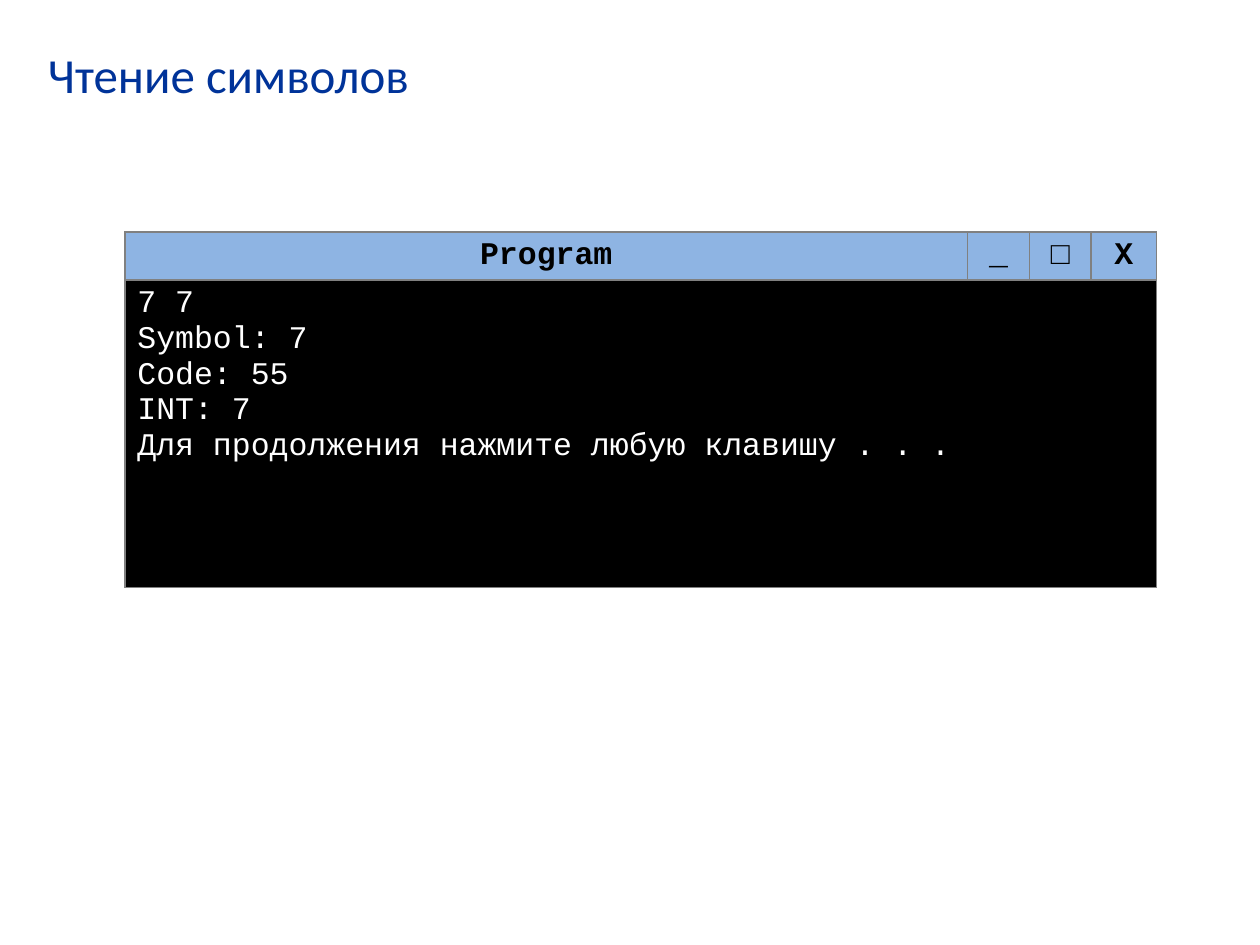
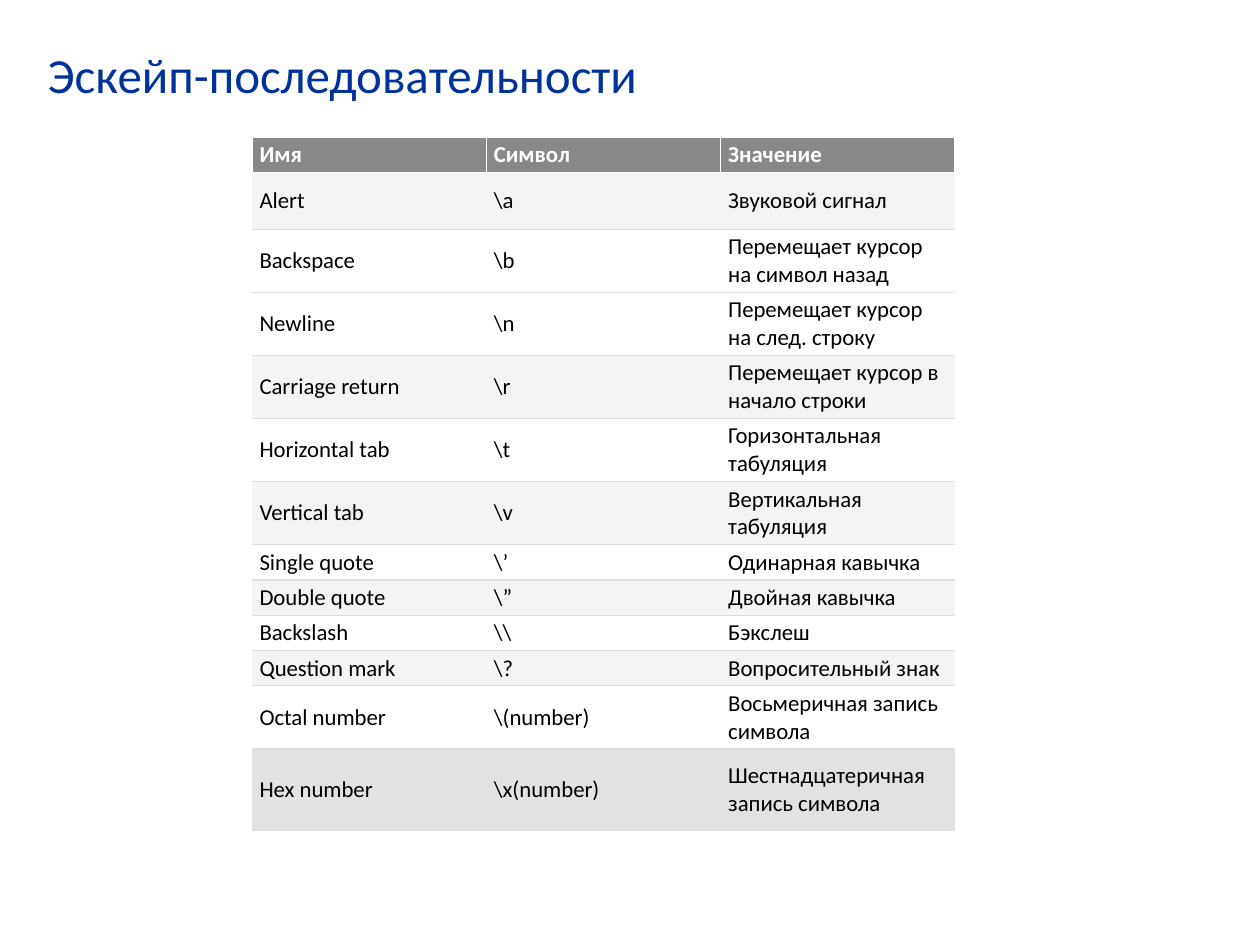
"""Build two slides on reading characters and escape sequences."""
from dataclasses import dataclass

from lxml import etree
from pptx import Presentation, slide as sl, table as tb, util as u
from pptx.dml import color
from pptx.enum import text
from pptx.oxml import ns

BLUE, BLACK, WHITE = "003399", "000000", "FFFFFF"
BAR, EDGE = "8EB4E3", "808080"
HEAD, BAND, LAST, RULE = "888888", "F4F4F4", "E2E2E2", "DDDDDD"
SANS, MONO = "Calibri", "Courier New"
LEFT, MID = text.PP_ALIGN.LEFT, text.PP_ALIGN.CENTER


@dataclass(frozen=True)
class Look:
    fill: str
    ink: str
    font: str
    size: float
    sides: dict[str, str]
    width: float
    bold: bool = False
    align: text.PP_ALIGN = LEFT
    anchor: text.MSO_ANCHOR = text.MSO_ANCHOR.MIDDLE
    inset: tuple[float, float] = (0.06, 0.03)


@dataclass(frozen=True)
class Row:
    high: float
    cells: tuple[str, ...]
    look: Look


def rgb(code: str) -> color.RGBColor:
    return color.RGBColor.from_string(code)


def style(para, font: str, size: float, ink: str, bold: bool, align: text.PP_ALIGN) -> None:
    para.alignment = align
    para.font.name, para.font.size, para.font.bold = font, u.Pt(size), bold
    para.font.color.rgb = rgb(ink)


def border(cell: tb._Cell, sides: dict[str, str], width: float) -> None:
    props = cell._tc.get_or_add_tcPr()
    for side in "LRTB":
        line = etree.SubElement(props, ns.qn(f"a:ln{side}"), w=str(u.Pt(width)))
        if side in sides:
            fill = etree.SubElement(line, ns.qn("a:solidFill"))
            etree.SubElement(fill, ns.qn("a:srgbClr"), val=sides[side])
        else:
            etree.SubElement(line, ns.qn("a:noFill"))


def paint(cell: tb._Cell, words: str, look: Look) -> None:
    border(cell, look.sides, look.width)
    cell.fill.solid()
    cell.fill.fore_color.rgb = rgb(look.fill)
    cell.vertical_anchor = look.anchor
    cell.margin_left = cell.margin_right = u.Inches(look.inset[0])
    cell.margin_top = cell.margin_bottom = u.Inches(look.inset[1])
    cell.text = words
    for para in cell.text_frame.paragraphs:
        style(para, look.font, look.size, look.ink, look.bold, look.align)


def grid(page: sl.Slide, left: float, top: float, cols: list[float], rows: list[Row]) -> None:
    high = sum(row.high for row in rows)
    frame = page.shapes.add_table(len(rows), len(cols), u.Inches(left), u.Inches(top),
                                  u.Inches(sum(cols)), u.Inches(high))
    table = frame.table
    for col, wide in zip(table.columns, cols):
        col.width = u.Inches(wide)
    for num, row in enumerate(rows):
        table.rows[num].height = u.Inches(row.high)
        if len(row.cells) == 1:
            table.cell(num, 0).merge(table.cell(num, len(cols) - 1))
        for spot in range(len(cols)):
            words = row.cells[spot] if spot < len(row.cells) else ""
            paint(table.cell(num, spot), words, row.look)


def start(deck, words: str) -> sl.Slide:
    page = deck.slides.add_slide(deck.slide_layouts[5])
    title = page.shapes.title
    title.left, title.top = u.Inches(0.28), u.Inches(0.3)
    title.width, title.height = u.Inches(9.45), u.Inches(0.93)
    frame = title.text_frame
    frame.text = words
    frame.auto_size = text.MSO_AUTO_SIZE.NONE
    frame.vertical_anchor = text.MSO_ANCHOR.TOP
    style(frame.paragraphs[0], SANS, 28, BLUE, False, LEFT)
    return page


def console(deck) -> None:
    page = start(deck, "Чтение символов")
    box = dict.fromkeys("LRTB", EDGE)
    bar = Look(BAR, BLACK, MONO, 18, box, 1, True, MID, inset=(0.1, 0.05))
    out = Look(BLACK, WHITE, MONO, 18, box, 1, anchor=text.MSO_ANCHOR.TOP, inset=(0.1, 0.05))
    lines = ("7 7", "Symbol: 7", "Code: 55", "INT: 7",
             "Для продолжения нажмите любую клавишу . . .")
    grid(page, 0.99, 1.84, [6.69, 0.49, 0.49, 0.52], [
        Row(0.35, ("Program", "_", "□", "X"), bar),
        Row(2.44, ("\n".join(lines),), out),
    ])


def escapes(deck) -> None:
    page = start(deck, "Эскейп-последовательности")

    def body(fill: str, top: str = RULE) -> Look:
        return Look(fill, BLACK, SANS, 13, {"T": top, "B": RULE}, 0.75)

    head = Look(HEAD, WHITE, SANS, 13, dict.fromkeys("LRTB", WHITE), 0.75, True)
    first, band, plain, last = body(BAND, WHITE), body(BAND), body(WHITE), body(LAST)
    grid(page, 2, 1.09, [1.86] * 3, [
        Row(0.25, ("Имя", "Символ", "Значение"), head),
        Row(0.45, ("Alert", r"\a", "Звуковой сигнал"), first),
        Row(0.45, ("Backspace", r"\b", "Перемещает курсор на символ назад"), plain),
        Row(0.45, ("Newline", r"\n", "Перемещает курсор на след. строку"), plain),
        Row(0.25, ("Carriage return", r"\r", "Перемещает курсор в начало строки"), band),
        Row(0.45, ("Horizontal tab", r"\t", "Горизонтальная табуляция"), plain),
        Row(0.25, ("Vertical tab", r"\v", "Вертикальная табуляция"), band),
        Row(0.25, ("Single quote", r"\’", "Одинарная кавычка"), plain),
        Row(0.25, ("Double quote", r"\”", "Двойная кавычка"), band),
        Row(0.25, ("Backslash", r"\\", "Бэкслеш"), plain),
        Row(0.25, ("Question mark", r"\?", "Вопросительный знак"), band),
        Row(0.45, ("Octal number", r"\(number)", "Восьмеричная запись символа"), plain),
        Row(0.65, ("Hex number", r"\x(number)", "Шестнадцатеричная запись символа"), last),
    ])


def main() -> None:
    deck = Presentation()
    deck.slide_width, deck.slide_height = u.Inches(10), u.Inches(7.5)
    console(deck)
    escapes(deck)
    deck.save("out.pptx")


if __name__ == "__main__":
    main()
